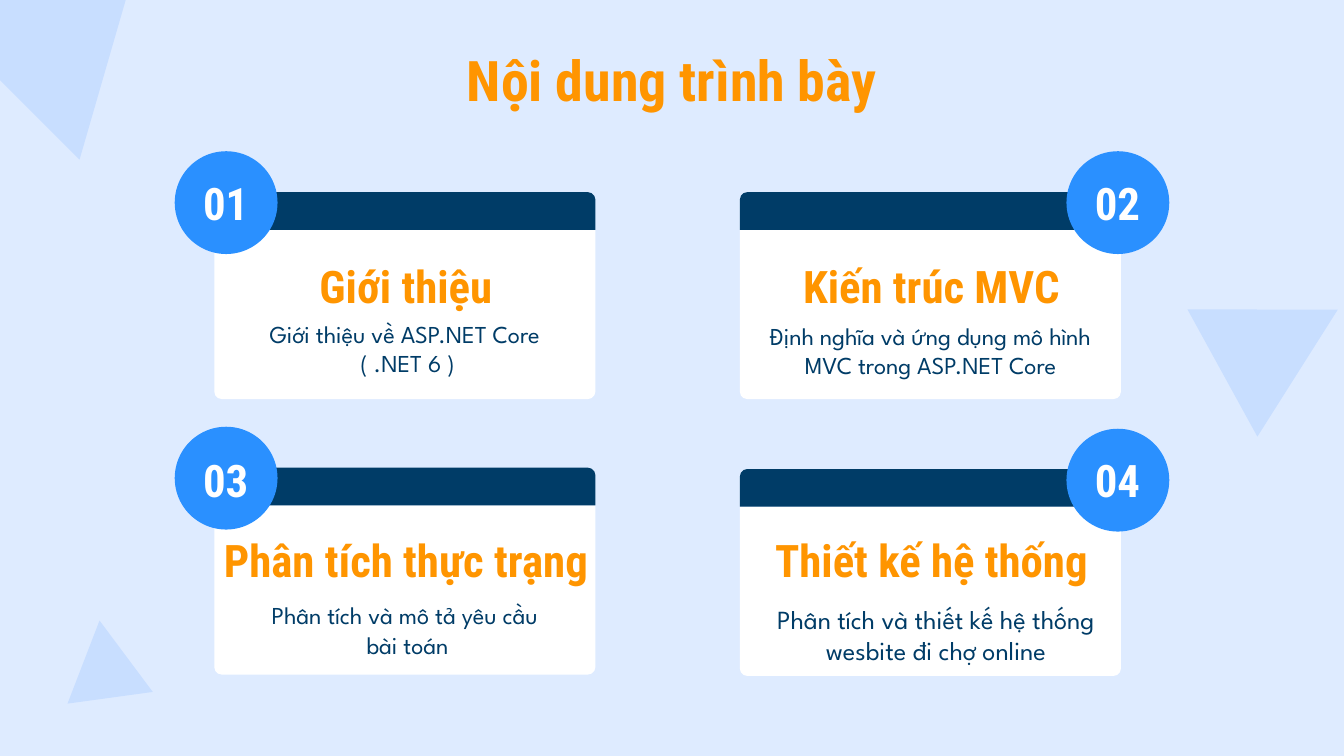
from dataclasses import dataclass

from pptx import Presentation
from pptx.dml.color import RGBColor
from pptx.enum.shapes import MSO_SHAPE
from pptx.enum.text import MSO_ANCHOR, PP_ALIGN
from pptx.util import Emu, Pt

PX = 4572  # 200 px to the inch


@dataclass(frozen=True)
class Theme:
    background: str = "DEEBFF"
    triangle: str = "C8DEFF"
    card: str = "FFFFFF"
    bar: str = "003C67"
    badge: str = "2A90FF"
    accent: str = "FF9500"
    body: str = "003C67"
    number: str = "FFFFFF"
    heading_font: str = "Roboto Condensed"
    body_font: str = "League Spartan"
    title_size: int = 30
    heading_size: int = 24
    body_size: int = 13
    large_body_size: int = 14


class Deck:
    def __init__(self, theme, width, height):
        self.theme = theme
        self.presentation = Presentation()
        self.presentation.slide_width = Emu(width * PX)
        self.presentation.slide_height = Emu(height * PX)
        self.slide = self.presentation.slides.add_slide(
            self.presentation.slide_layouts[6])
        fill = self.slide.background.fill
        fill.solid()
        fill.fore_color.rgb = RGBColor.from_string(theme.background)

    def shape(self, preset, box, color, rotation=0, corners=()):
        shape = self.slide.shapes.add_shape(preset, *(Emu(v * PX) for v in box))
        shape.shadow.inherit = False
        shape.fill.solid()
        shape.fill.fore_color.rgb = RGBColor.from_string(color)
        shape.line.fill.background()
        shape.rotation = rotation
        for index, corner in enumerate(corners):
            shape.adjustments[index] = corner

    def text(self, words, box, font, size, color, bold=True,
             anchor=MSO_ANCHOR.TOP, spacing=1.0):
        frame = self.slide.shapes.add_textbox(
            *(Emu(v * PX) for v in box)).text_frame
        frame.word_wrap = True
        frame.vertical_anchor = anchor
        frame.margin_left = frame.margin_right = Emu(20 * PX)
        frame.margin_top = frame.margin_bottom = Emu(20 * PX)
        frame.text = words
        paragraph = frame.paragraphs[0]
        paragraph.alignment = PP_ALIGN.CENTER
        paragraph.line_spacing = spacing
        for run in paragraph.runs:
            run.font.name = font
            run.font.size = Pt(size)
            run.font.bold = bold
            run.font.color.rgb = RGBColor.from_string(color)

    def heading(self, words, box, size, color, **layout):
        self.text(words, box, self.theme.heading_font, size, color, **layout)

    def card(self, left, top):
        width, bar_height, body_height, radius = 567, 56, 252, 11
        preset = MSO_SHAPE.ROUND_2_SAME_RECTANGLE
        self.shape(preset, (left, top + bar_height, width, body_height),
                   self.theme.card, corners=(0, radius / body_height))
        self.shape(preset, (left, top, width, bar_height),
                   self.theme.bar, corners=(radius / bar_height, 0))

    def badge(self, number, left, top, number_top):
        self.shape(MSO_SHAPE.OVAL, (left, top, 153, 153), self.theme.badge)
        self.heading(number, (left + 9, number_top, 134, 132),
                     self.theme.heading_size, self.theme.number,
                     anchor=MSO_ANCHOR.MIDDLE)


def main():
    theme = Theme()
    deck = Deck(theme, 2000, 1125)

    # Background triangles
    for box, rotation in (((1797, 410, 216, 196), 61.2),
                          ((-98, -220, 406, 368), 45),
                          ((92, 923, 128, 116), 352.2)):
        deck.shape(MSO_SHAPE.ISOSCELES_TRIANGLE, box, theme.triangle, rotation)

    # Title
    deck.heading("Nội dung trình bày", (156, 48, 1688, 140),
                 theme.title_size, theme.accent)

    # Agenda: topic, description, its box and size, card top, badge top
    topics = (
        ("Giới thiệu", "Giới thiệu về ASP.NET Core \v( .NET 6 )",
         (323, 455, 567, 132), theme.body_size, 286, 225),
        ("Kiến trúc MVC", "Định nghĩa và ứng dụng mô hình MVC trong ASP.NET Core",
         (1101, 458, 567, 140), theme.body_size, 286, 225),
        ("Phân tích thực trạng", "Phân tích và mô tả yêu cầu \vbài toán",
         (323, 874, 567, 132), theme.body_size, 696, 635),
        ("Thiết kế hệ thống", "Phân tích và thiết kế hệ thống wesbite đi chợ online",
         (1100, 878, 586, 132), theme.large_body_size, 698, 638),
    )
    columns = ((319, 260), (1101, 1587))  # card left, badge left
    rows = ((353, 236), (761, 648))  # heading top, number top
    for index, (topic, description, box, size, card_top, badge_top) in enumerate(topics):
        card_left, badge_left = columns[index % 2]
        heading_top, number_top = rows[index // 2]
        deck.card(card_left, card_top)
        deck.badge(f"{index + 1:02d}", badge_left, badge_top, number_top)
        deck.heading(topic, (card_left - 10, heading_top, 590, 154),
                     theme.heading_size, theme.accent, spacing=1.15)
        deck.text(description, box, theme.body_font, size, theme.body, bold=False)

    deck.presentation.save("out.pptx")


if __name__ == "__main__":
    main()
